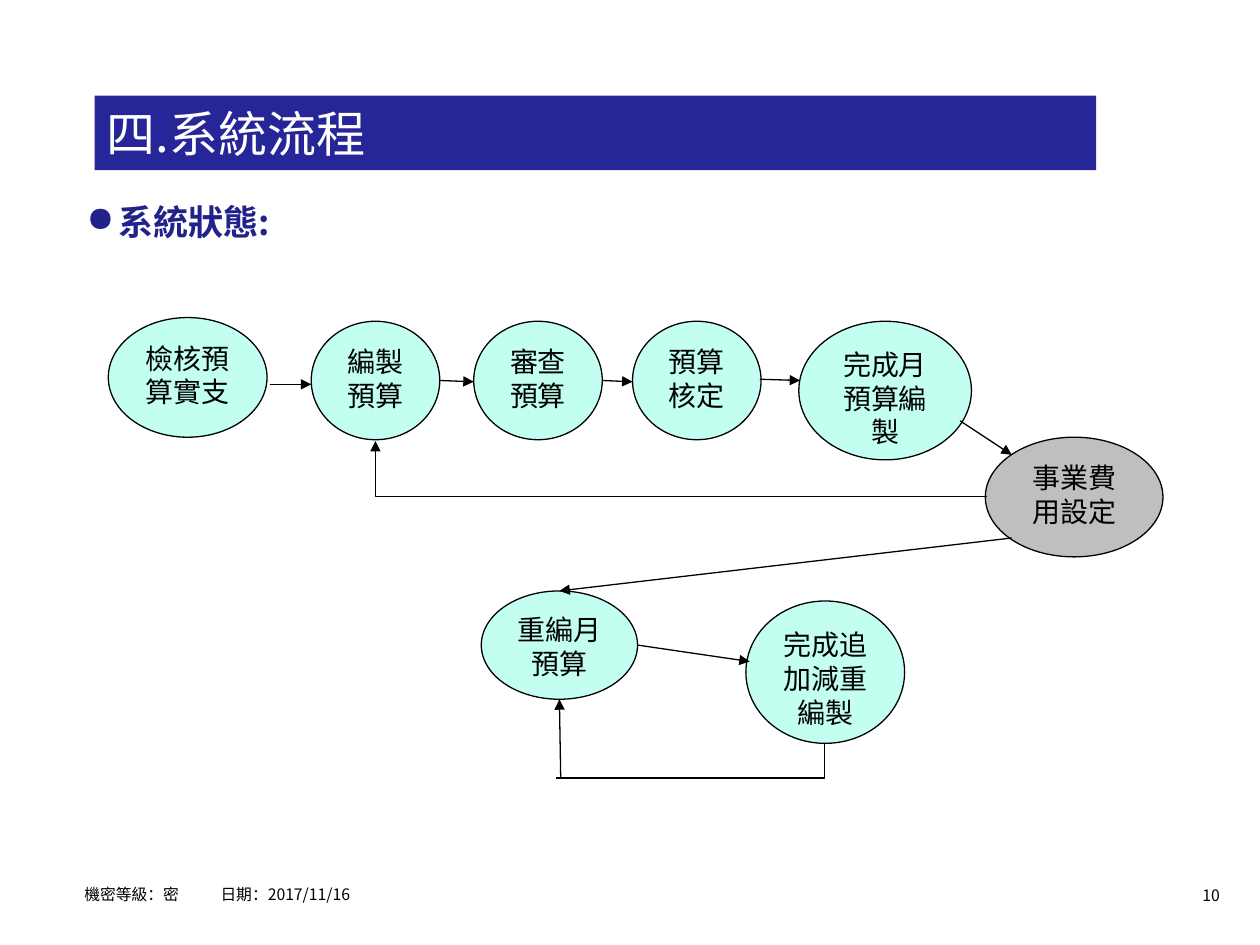
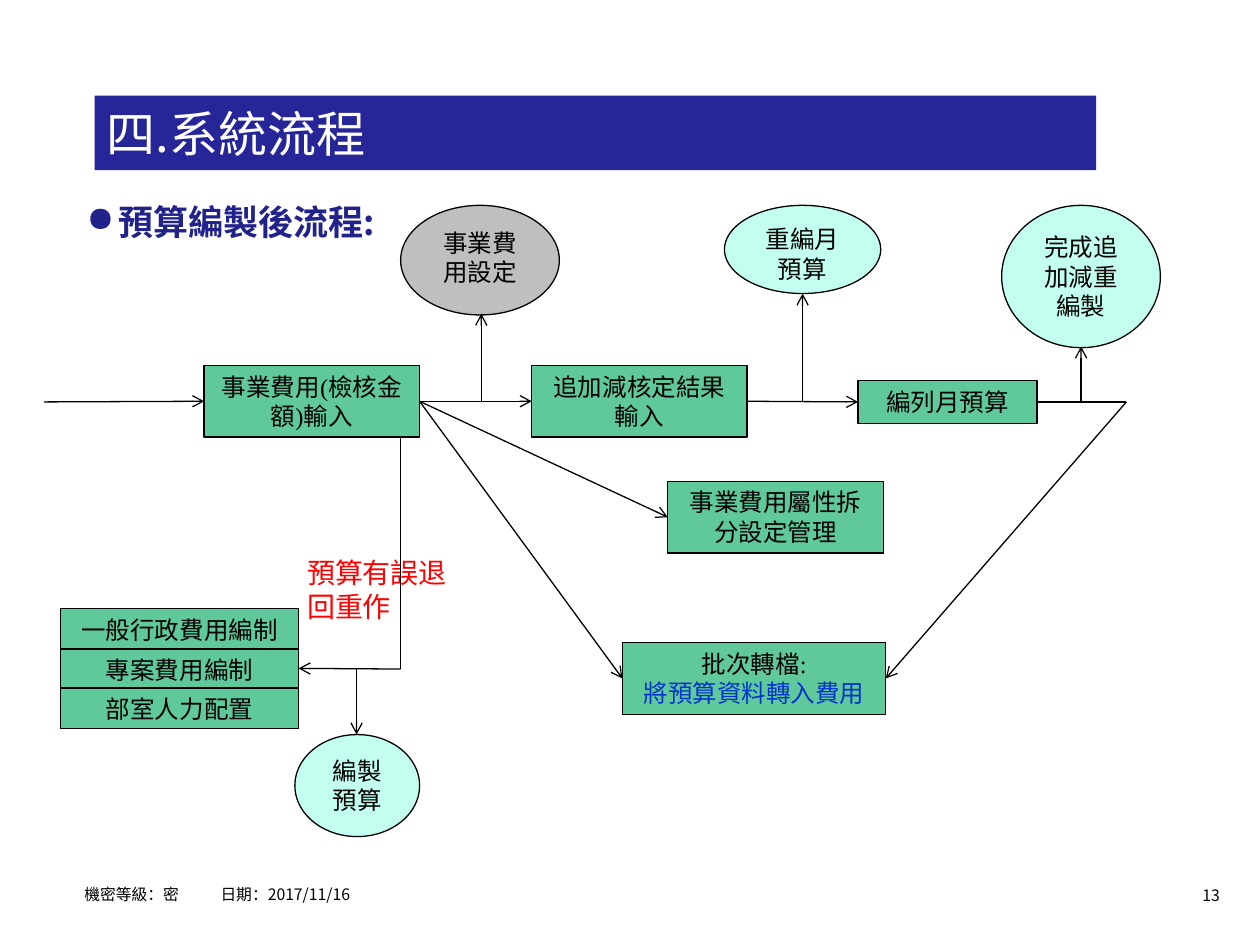
from dataclasses import dataclass
from typing import NamedTuple, Optional, Union

from lxml import etree
from pptx import Presentation
from pptx.dml.color import RGBColor
from pptx.enum.shapes import MSO_CONNECTOR, MSO_SHAPE
from pptx.enum.text import MSO_ANCHOR, PP_ALIGN
from pptx.oxml.ns import qn
from pptx.util import Inches, Pt

OVAL, RECT = MSO_SHAPE.OVAL, MSO_SHAPE.RECTANGLE
STRAIGHT, ELBOW = MSO_CONNECTOR.STRAIGHT, MSO_CONNECTOR.ELBOW
LEFT, CENTER, RIGHT = PP_ALIGN.LEFT, PP_ALIGN.CENTER, PP_ALIGN.RIGHT
TOP, MIDDLE = MSO_ANCHOR.TOP, MSO_ANCHOR.MIDDLE
WEST, EAST = 1, 3

SANS, SERIF = "Noto Sans CJK SC", "Times New Roman"
BLACK, WHITE, RED, BLUE = "000000", "FFFFFF", "FF0000", "0033CC"
BAND, HEADING = "262699", "22228B"
MINT, GREY, GREEN = "C2FFF0", "BFBFBF", "60C99C"


class Box(NamedTuple):
    x: float
    y: float
    w: float
    h: float


class Point(NamedTuple):
    x: float
    y: float


class Joint(NamedTuple):
    node: str
    site: int


@dataclass(frozen=True)
class Node:
    text: str
    box: Box
    fill: str = MINT
    kind: int = OVAL
    font: str = SANS
    detail: str = ""


@dataclass(frozen=True)
class Link:
    start: Union[Point, Joint]
    end: Union[Point, Joint]
    arrow: bool = True


@dataclass(frozen=True)
class Elbow:
    box: Box
    degrees: int
    arrow: bool = False


@dataclass(frozen=True)
class Note:
    text: str
    box: Box


@dataclass(frozen=True)
class FlowSlide:
    number: int
    heading: str
    size: int
    head: str
    nodes: list[Node]
    links: list[Link]
    elbows: tuple[Elbow, ...] = ()
    notes: tuple[Note, ...] = ()


def color(value: str) -> RGBColor:
    return RGBColor.from_string(value)


def lengths(values) -> list[int]:
    return [Inches(v) for v in values]


def write(sp, text: str, *, size: float, fill: str = BLACK, font: str = SANS,
          bold: bool = False, align=LEFT, anchor=TOP, left: float = 0.1,
          bullet: str = "", tab: float = 0, spacing: Optional[float] = None):
    tf = sp.text_frame
    tf.word_wrap = True
    tf.vertical_anchor = anchor
    tf.margin_left, tf.margin_right = Inches(left), Inches(0.1)
    tf.margin_top = tf.margin_bottom = Inches(0.05)
    p = tf.add_paragraph() if tf.text else tf.paragraphs[0]
    p.alignment = align
    if spacing:
        p.line_spacing = spacing
    pPr = p._p.get_or_add_pPr()
    if bullet:
        pPr.set("marL", str(Inches(0.25)))
        pPr.set("indent", str(-Inches(0.25)))
        clr = etree.SubElement(pPr, qn("a:buClr"))
        etree.SubElement(clr, qn("a:srgbClr"), val=fill)
        etree.SubElement(pPr, qn("a:buChar"), char=bullet)
    if tab:
        tabs = etree.SubElement(pPr, qn("a:tabLst"))
        etree.SubElement(tabs, qn("a:tab"), pos=str(Inches(tab)), algn="l")
    r = p.add_run()
    r.text = text
    r.font.size, r.font.bold, r.font.name = Pt(size), bold, font
    r.font.color.rgb = color(fill)
    etree.SubElement(r._r.get_or_add_rPr(), qn("a:ea"), typeface=SANS)


def add_label(s, text: str, box: Box, **fmt):
    write(s.shapes.add_textbox(*lengths(box)), text, **fmt)


def add_filled(s, kind, box: Box, fill: str, line: str = ""):
    sp = s.shapes.add_shape(kind, *lengths(box))
    sp.shadow.inherit = False
    sp.fill.solid()
    sp.fill.fore_color.rgb = color(fill)
    if line:
        sp.line.color.rgb = color(line)
        sp.line.width = Pt(0.75)
    else:
        sp.line.fill.background()
    return sp


def add_node(s, node: Node, size: int):
    sp = add_filled(s, node.kind, node.box, node.fill, BLACK)
    write(sp, node.text, size=size, font=node.font, align=CENTER)
    if node.detail:
        write(sp, node.detail, size=size, font=node.font, fill=BLUE, align=CENTER)
    return sp


def style_line(c, head: str):
    c.line.color.rgb = color(BLACK)
    c.line.width = Pt(0.75)
    if head:
        etree.SubElement(c.line._get_or_add_ln(), qn("a:tailEnd"), type=head)
    etree.SubElement(c._element.spPr, qn("a:effectLst"))


def add_link(s, link: Link, shapes: dict, head: str):
    ends = [Point(0, 0) if isinstance(e, Joint) else e for e in (link.start, link.end)]
    c = s.shapes.add_connector(STRAIGHT, *lengths(ends[0] + ends[1]))
    if isinstance(link.start, Joint):
        c.begin_connect(shapes[link.start.node], link.start.site)
    if isinstance(link.end, Joint):
        c.end_connect(shapes[link.end.node], link.end.site)
    style_line(c, head if link.arrow else "")


def add_elbow(s, elbow: Elbow, head: str):
    x, y, w, h = elbow.box
    c = s.shapes.add_connector(ELBOW, *lengths((x, y, x + w, y + h)))
    spPr = c._element.spPr
    spPr.find(qn("a:xfrm")).set("rot", str(elbow.degrees * 60000))
    spPr.find(qn("a:prstGeom")).set("prst", "bentConnector2")
    style_line(c, head if elbow.arrow else "")


def add_frame(s, number: int, heading: str):
    add_label(s, str(number), Box(9.1, 6.98, 0.68, 0.25), size=9, align=RIGHT)
    band = add_filled(s, RECT, Box(0.75, 0.76, 7.95, 0.59), BAND)
    write(band, "四.系統流程", size=28, fill=WHITE, anchor=MIDDLE)
    add_label(s, heading, Box(0.59, 1.54, 8.74, 0.5), size=20, fill=HEADING,
              bold=True, bullet="●")
    add_label(s, "機密等級：密\t日期：2017/11/16", Box(0.67, 6.9, 7.42, 0.31),
              size=9, left=0, tab=1.08, spacing=1.5)


def build(prs, flow: FlowSlide):
    s = prs.slides.add_slide(prs.slide_layouts[6])
    add_frame(s, flow.number, flow.heading)
    shapes = {n.text: add_node(s, n, flow.size) for n in flow.nodes}
    for note in flow.notes:
        add_label(s, note.text, note.box, size=16, fill=RED)
    for link in flow.links:
        add_link(s, link, shapes, flow.head)
    for elbow in flow.elbows:
        add_elbow(s, elbow, flow.head)


def step(text: str, x: float, y: float, w: float = 1.71, h: float = 0.57,
         font: str = SERIF, detail: str = "") -> Node:
    return Node(text, Box(x, y, w, h), GREEN, RECT, font, detail)


DRAFT, REVIEW, APPROVE = "編製預算", "審查預算", "預算核定"
EXPENSE, REDO, REDONE = "事業費用設定", "重編月預算", "完成追加減重編製"
ENTRY, RESULT, MONTHLY = "事業費用(檢核金額)輸入", "追加減核定結果輸入", "編列月預算"
SPLIT, BATCH, PROJECT = "事業費用屬性拆分設定管理", "批次轉檔:", "專案費用編制"

STATES = FlowSlide(
    10, "系統狀態:", 16, "triangle",
    nodes=[
        Node("檢核預算實支", Box(0.86, 2.52, 1.26, 0.95)),
        *(Node(t, Box(x, 2.55, 1.02, 0.94))
          for t, x in ((DRAFT, 2.47), (REVIEW, 3.76), (APPROVE, 5.02))),
        Node("完成月預算編製", Box(6.34, 2.55, 1.37, 1.1)),
        Node(EXPENSE, Box(7.82, 3.47, 1.41, 0.95), GREY),
        Node(REDO, Box(3.82, 4.69, 1.24, 0.86)),
        Node(REDONE, Box(5.92, 4.77, 1.26, 1.13)),
    ],
    links=[
        Link(Point(2.14, 3.05), Point(2.47, 3.05)),
        Link(Point(3.49, 3.02), Point(3.76, 3.03)),
        Link(Point(4.78, 3.02), Point(5.02, 3.03)),
        Link(Point(6.03, 3.01), Point(6.35, 3.02)),
        Link(Point(7.62, 3.34), Point(8.03, 3.61)),
        Link(Point(8.03, 4.27), Point(4.44, 4.69)),
        Link(Point(5.06, 5.12), Point(5.95, 5.25)),
        Link(Point(4.45, 6.17), Point(4.44, 5.55)),
    ],
    elbows=(
        Elbow(Box(2.98, 3.5, 4.85, 0.44), 180, arrow=True),
        Elbow(Box(5.34, 4.97, 0.28, 2.13), 90),
    ),
)

AFTER_DRAFT = FlowSlide(
    13, "預算編製後流程:", 14, "arrow",
    nodes=[
        step(ENTRY, 1.62, 2.9),
        step(RESULT, 4.22, 2.9),
        step(MONTHLY, 6.81, 3.02, 1.42, 0.34),
        step(SPLIT, 5.3, 3.82),
        step("一般行政費用編制", 0.48, 4.83, 1.89, 0.34, SANS),
        step(PROJECT, 0.48, 5.15, 1.89, 0.31, SANS),
        step("部室人力配置", 0.48, 5.46, 1.89, 0.32, SANS),
        step(BATCH, 4.94, 5.1, 2.09, detail="將預算資料轉入費用"),
        Node(EXPENSE, Box(3.18, 1.63, 1.26, 0.87), GREY),
        Node(REDO, Box(5.75, 1.63, 1.24, 0.7)),
        Node(REDONE, Box(7.95, 1.63, 1.26, 1.13)),
        Node(DRAFT, Box(2.34, 5.83, 0.99, 0.81)),
    ],
    links=[
        Link(Point(0.35, 3.19), Joint(ENTRY, WEST)),
        Link(Joint(ENTRY, EAST), Joint(RESULT, WEST)),
        Link(Joint(RESULT, EAST), Joint(MONTHLY, WEST)),
        Link(Joint(MONTHLY, EAST), Point(8.94, 3.19), arrow=False),
        Link(Joint(ENTRY, EAST), Joint(SPLIT, WEST)),
        Link(Joint(ENTRY, EAST), Joint(BATCH, WEST)),
        Link(Point(8.94, 3.19), Joint(BATCH, EAST)),
        *(Link(Point(x, 3.19), Point(x, y))
          for x, y in ((3.82, 2.49), (6.37, 2.33), (8.58, 2.75))),
        Link(Point(3.18, 3.48), Point(3.18, 5.31), arrow=False),
        Link(Point(3.18, 5.31), Joint(PROJECT, EAST)),
        Link(Joint(PROJECT, EAST), Joint(PROJECT, EAST)),
        Link(Point(2.83, 5.31), Point(2.83, 5.83)),
    ],
    notes=(Note("預算有誤退回重作", Box(2.34, 4.36, 1.34, 0.64)),),
)


def main():
    prs = Presentation()
    prs.slide_width, prs.slide_height = Inches(10), Inches(7.5)
    for flow in (STATES, AFTER_DRAFT):
        build(prs, flow)
    prs.save("out.pptx")


if __name__ == "__main__":
    main()
